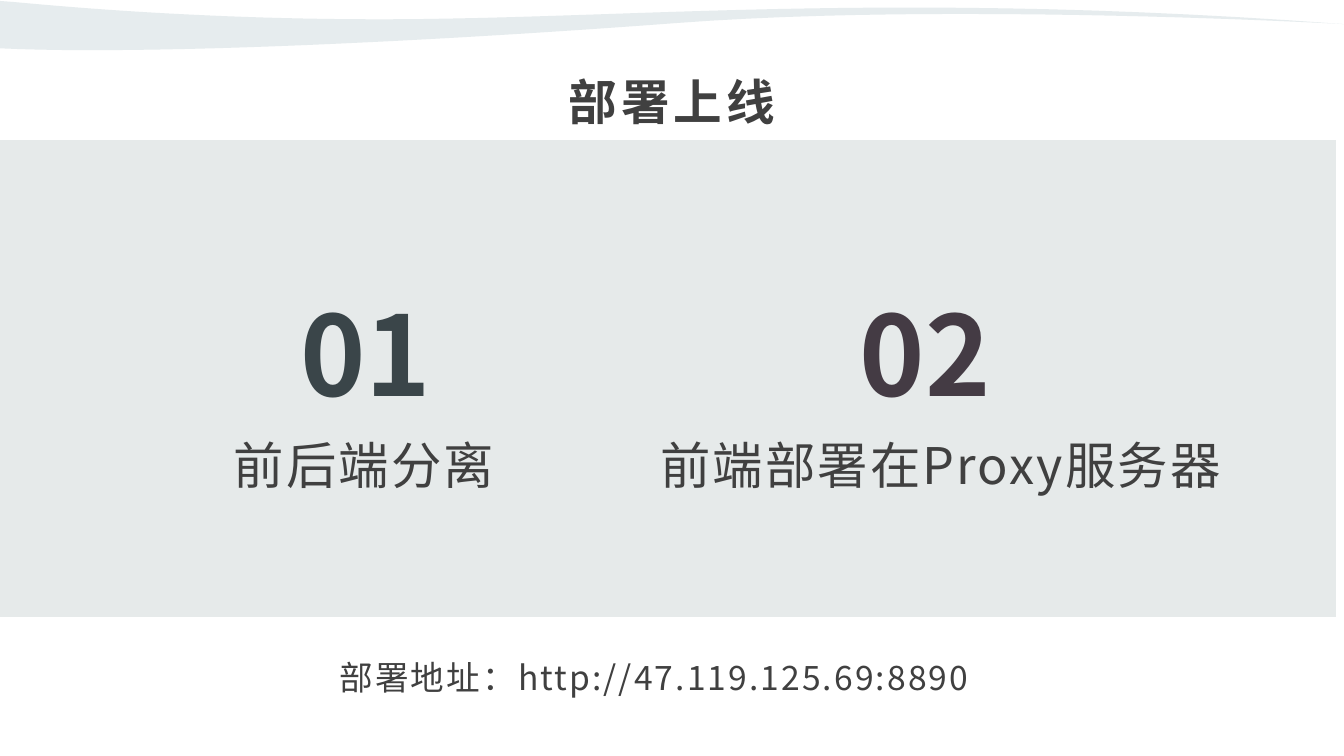
from pptx import Presentation
from pptx.dml.color import RGBColor
from pptx.enum import shapes, text
from pptx.oxml import ns
from pptx.util import Inches, Pt

FONT = "Noto Sans CJK SC"
GREY = "404040"


def paint(shape, colour):
    shape.shadow.inherit = False
    shape.fill.solid()
    shape.fill.fore_color.rgb = RGBColor.from_string(colour)
    shape.line.fill.background()


def write(place, words, size, colour=GREY, bold=False, tracking=0, leading=1.0):
    box = page.shapes.add_textbox(*[Inches(length) for length in place])
    box.text_frame.word_wrap = True
    para = box.text_frame.paragraphs[0]
    para.line_spacing = leading
    span = para.add_run()
    span.text = words
    span.font.size = Pt(size)
    span.font.bold = bold
    span.font.name = FONT
    span.font.color.rgb = RGBColor.from_string(colour)
    properties = span.font._element
    properties.set("spc", str(int(tracking * 100)))
    east_asian = properties.makeelement(ns.qn("a:ea"), {"typeface": FONT})
    properties.find(ns.qn("a:latin")).addnext(east_asian)
    return box


deck = Presentation()
deck.slide_width, deck.slide_height = Inches(13.33), Inches(7.5)
page = deck.slides.add_slide(deck.slide_layouts[6])

# Wave along the top edge, each curve as two controls and an end
curves = [
    [(0, 0.48), (1.49, 0.55), (4.3, 0.41), (6.7, 0.23)],
    [(6.7, 0.23), (9.44, 0.02), (13.33, 0.24), (13.33, 0.24)],
    [(13.33, 0.24), (9, -0.08), (6.63, 0.16), (4.15, 0.19)],
    [(4.15, 0.19), (2.29, 0.21), (0.77, 0.08), (0.13, 0.02)],
]
steps = 24
outline = [(0, 0.48)]
for curve in curves:
    for step in range(1, steps + 1):
        t = step / steps
        weights = ((1 - t) ** 3, 3 * t * (1 - t) ** 2, 3 * t * t * (1 - t), t ** 3)
        outline.append(tuple(sum(w * point[axis] for w, point in zip(weights, curve))
                             for axis in (0, 1)))
builder = page.shapes.build_freeform(0, Inches(0.01), scale=1.0)
builder.add_line_segments([(Inches(x), Inches(y)) for x, y in outline], close=True)
paint(builder.convert_to_shape(), "E6ECEE")

# Middle band
band = page.shapes.add_shape(shapes.MSO_SHAPE.RECTANGLE, Inches(-0.08), Inches(1.39),
                             Inches(13.33), Inches(4.73))
paint(band, "E6EAEA")

# Title
title = write((0.5, 0.67, 12.33, 0.69), "部署上线", 34.7, bold=True, tracking=3)
frame = title.text_frame
frame.margin_left = frame.margin_right = Inches(0.08)
frame.margin_top = frame.margin_bottom = Inches(0.04)
frame.paragraphs[0].alignment = text.PP_ALIGN.CENTER
frame.paragraphs[0].space_after = Pt(8)

# Numbered points
points = [
    ("01", "3A4549", 2.88, "前后端分离", 2.22, 2.89),
    ("02", "443B44", 8.43, "前端部署在Proxy服务器", 6.45, 6.11),
]
for number, colour, number_left, label, label_left, label_width in points:
    write((number_left, 2.78, 1.58, 1.58), number, 79.2, colour, bold=True)
    write((label_left, 4.08, label_width, 2.46), label, 36, tracking=1.5, leading=1.3)

# Address
write((3.27, 6.35, 7.34, 1), "部署地址：http://47.119.125.69:8890", 24,
      tracking=1.5, leading=1.3)

deck.save("out.pptx")
